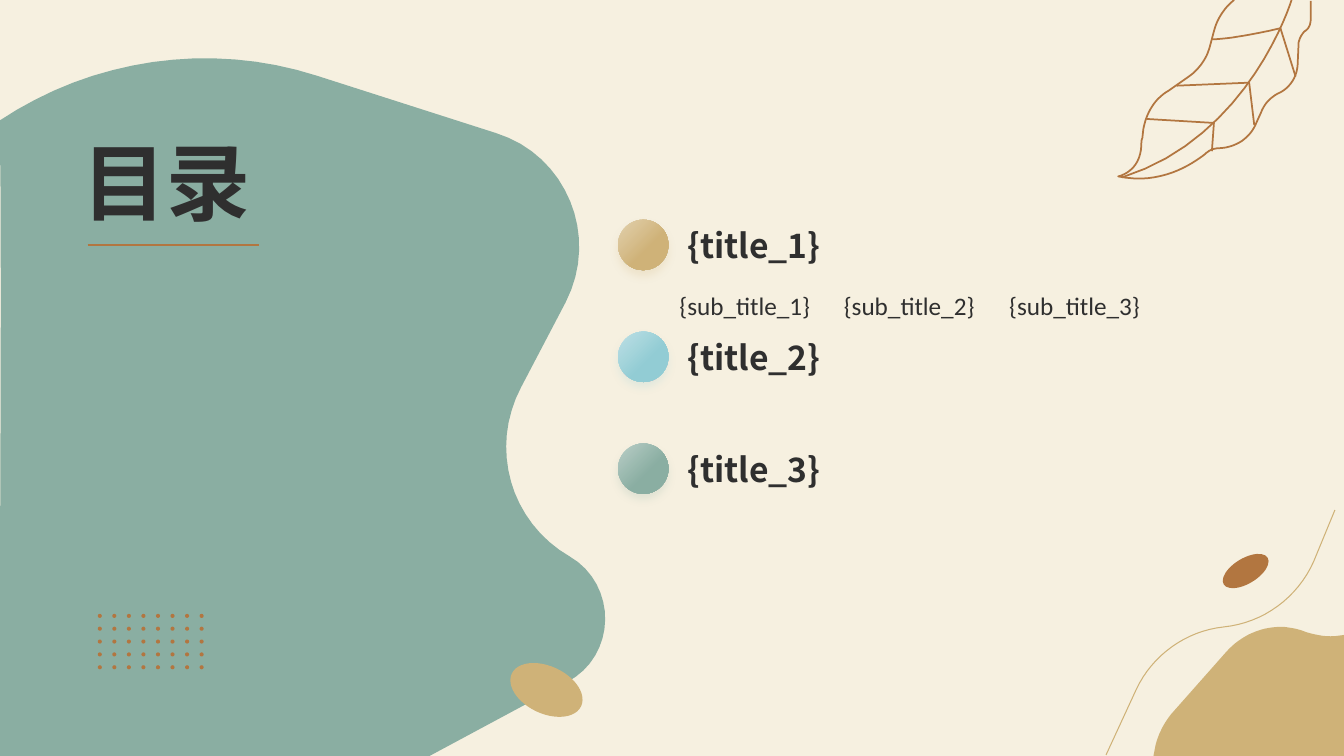
import pptx
import pptx.dml.color
import pptx.enum.shapes
import pptx.enum.text
import pptx.oxml
import pptx.oxml.ns
import pptx.util
from lxml import etree

Inches = pptx.util.Inches
RGBColor = pptx.dml.color.RGBColor
OVAL = pptx.enum.shapes.MSO_SHAPE.OVAL
ANCHOR = pptx.enum.text.MSO_ANCHOR

CREAM = RGBColor(0xF6, 0xF0, 0xE0)
SAGE = RGBColor(0x8A, 0xAE, 0xA2)
PALE_SAGE = RGBColor(0xB9, 0xCE, 0xC7)
SAND = RGBColor(0xCF, 0xB2, 0x78)
PALE_SAND = RGBColor(0xE2, 0xD1, 0xAE)
AQUA = RGBColor(0x92, 0xCC, 0xD4)
PALE_AQUA = RGBColor(0xBE, 0xE0, 0xE5)
RUST = RGBColor(0xB2, 0x76, 0x40)
INK = RGBColor(0x2F, 0x2F, 0x2F)

HEADING_FONT = "Noto Sans CJK SC"
BODY_FONT = "Calibri"
UNITS_PER_INCH = 1000
CURVE_STEPS = 16


def trace(start, segments):
    points = [start]
    for segment in segments:
        if len(segment) == 2:
            points.append(segment)
            continue
        x0, y0 = points[-1]
        x1, y1, x2, y2, x3, y3 = segment
        for step in range(1, CURVE_STEPS + 1):
            t = step / CURVE_STEPS
            a, b, c, d = (1 - t) ** 3, 3 * t * (1 - t) ** 2, 3 * t * t * (1 - t), t ** 3
            points.append((a * x0 + b * x1 + c * x2 + d * x3,
                           a * y0 + b * y1 + c * y2 + d * y3))
    return points


def add_curve(slide, left, top, start, segments, fill=None, line=None, width=1.25):
    points = [(x * UNITS_PER_INCH, y * UNITS_PER_INCH) for x, y in trace(start, segments)]
    builder = slide.shapes.build_freeform(*points[0], scale=Inches(1) / UNITS_PER_INCH)
    builder.add_line_segments(points[1:], close=fill is not None)
    shape = builder.convert_to_shape(Inches(left), Inches(top))
    paint(shape, fill, line, width)


def paint(shape, fill, line=None, width=1.25):
    shape.shadow.inherit = False
    if fill is None:
        shape.fill.background()
    else:
        shape.fill.solid()
        shape.fill.fore_color.rgb = fill
    if line is None:
        shape.line.fill.background()
    else:
        shape.line.color.rgb = line
        shape.line.width = pptx.util.Pt(width)


def add_oval(slide, left, top, width, height, fill, rotation=0):
    oval = slide.shapes.add_shape(OVAL, Inches(left), Inches(top), Inches(width), Inches(height))
    paint(oval, fill)
    oval.rotation = rotation
    return oval


def set_text(shape, text, font_name, size, bold, anchor=ANCHOR.TOP, tabs=()):
    frame = shape.text_frame
    frame.word_wrap = True
    frame.auto_size = pptx.enum.text.MSO_AUTO_SIZE.SHAPE_TO_FIT_TEXT
    frame.vertical_anchor = anchor
    frame.text = text
    paragraph = frame.paragraphs[0]
    paragraph.alignment = pptx.enum.text.PP_ALIGN.LEFT
    if tabs:
        tab_list = etree.SubElement(paragraph._p.get_or_add_pPr(), pptx.oxml.ns.qn("a:tabLst"))
        for position in tabs:
            etree.SubElement(tab_list, pptx.oxml.ns.qn("a:tab"),
                             pos=str(Inches(position)), algn="l")
    paragraph.font.name = font_name
    paragraph.font.size = pptx.util.Pt(size)
    paragraph.font.bold = bold
    paragraph.font.color.rgb = INK
    for run in paragraph.runs:
        properties = run._r.get_or_add_rPr()
        etree.SubElement(properties, pptx.oxml.ns.qn("a:ea"), typeface=font_name)


def add_panel(slide, left, top):
    add_curve(slide, left, top, (-0.01, 1.2), [
        (0.92, 0.58, 2.08, 0.41, 3.14, 0.75), (4.92, 1.32),
        (5.62, 1.54, 5.95, 2.34, 5.61, 3), (5.17, 3.84),
        (4.85, 4.44, 5.06, 5.18, 5.65, 5.52),
        (6.13, 5.8, 6.12, 6.51, 5.62, 6.77), (4.26, 7.5), (-0.01, 7.5),
        (-0.01, 7.5, 0.03, 1.25, -0.01, 1.2)], fill=SAGE)


def add_heading(slide, left, top):
    title = slide.shapes.title
    title.left, title.top = Inches(left), Inches(top)
    title.width, title.height = Inches(3.96), Inches(1.11)
    set_text(title, "目录", HEADING_FONT, 60, True)
    underline = slide.shapes.add_connector(
        pptx.enum.shapes.MSO_CONNECTOR.STRAIGHT,
        Inches(left + 0.15), Inches(top + 1.19), Inches(left + 1.85), Inches(top + 1.19))
    underline.line.color.rgb = RUST
    underline.line.width = pptx.util.Pt(2)
    etree.SubElement(underline._element.spPr, pptx.oxml.ns.qn("a:effectLst"))


def add_dots(slide, left, top):
    for column in range(8):
        for row in range(5):
            add_oval(slide, left + column * 1.01 / 7, top + row * 0.51 / 4, 0.04, 0.04, RUST)


def add_marker(slide, left, top, color, pale_color):
    marker = add_oval(slide, left, top, 0.5, 0.5, color)
    marker.fill.gradient()
    marker.fill.gradient_angle = 315
    for stop, position, stop_color in zip(marker.fill.gradient_stops, (0, 0.6), (pale_color, color)):
        stop.position = position
        stop.color.rgb = stop_color
    effects = marker._element.spPr.find(pptx.oxml.ns.qn("a:effectLst"))
    effects.append(pptx.oxml.parse_xml(
        f'<a:outerShdw {pptx.oxml.ns.nsdecls("a")} blurRad="76200" dist="50800" dir="5400000" '
        f'algn="t" rotWithShape="0"><a:srgbClr val="{color}"><a:alpha val="20000"/>'
        '</a:srgbClr></a:outerShdw>'))


def add_contents(slide, left, top):
    entries = [("{title_1}", SAND, PALE_SAND), ("{title_2}", AQUA, PALE_AQUA),
               ("{title_3}", SAGE, PALE_SAGE)]
    for index, (text, color, pale_color) in enumerate(entries):
        entry_top = top + index * 1.11
        add_marker(slide, left, entry_top, color, pale_color)
        label = slide.shapes.add_textbox(
            Inches(left + 0.59), Inches(entry_top), Inches(5.87), Inches(0.5))
        set_text(label, text, HEADING_FONT, 24, True, ANCHOR.MIDDLE)
    subtitles = slide.shapes.add_textbox(
        Inches(left + 0.51), Inches(top + 0.65), Inches(6.42), Inches(0.4))
    set_text(subtitles, "{sub_title_1}\t{sub_title_2}\t{sub_title_3}", BODY_FONT, 18, False,
             tabs=(1.63, 3.27))


def add_corner(slide, left, top):
    add_curve(slide, left, top, (2.74, 1.22), [
        (2.81, 1.23, 2.88, 1.24, 2.95, 1.27), (3.05, 1.3, 3.15, 1.32, 3.25, 1.31),
        (3.33, 1.3), (3.33, 2.5), (1.44, 2.5), (1.45, 2.45),
        (1.47, 2.32, 1.53, 2.19, 1.62, 2.08), (2.16, 1.47),
        (2.31, 1.3, 2.52, 1.21, 2.74, 1.22)], fill=SAND)
    add_curve(slide, left, top, (0.97, 2.49), [
        (1.27, 1.84), (1.43, 1.5, 1.76, 1.26, 2.14, 1.22),
        (2.53, 1.18, 2.87, 0.93, 3.03, 0.57), (3.24, 0.06)], line=SAND, width=0.75)
    add_oval(slide, left + 2.1, top + 0.54, 0.51, 0.25, RUST, 328.7)


def add_leaf(slide, left, top):
    outline = [
        (2, 0.19), (2, 0.24, 1.98, 0.29, 1.94, 0.31), (1.91, 0.34, 1.89, 0.38, 1.88, 0.42),
        (1.87, 0.65), (1.86, 0.77, 1.79, 0.88, 1.67, 0.93),
        (1.6, 0.97, 1.54, 1.03, 1.51, 1.11), (1.46, 1.22),
        (1.4, 1.37, 1.26, 1.46, 1.1, 1.47), (1.04, 1.47, 0.99, 1.49, 0.95, 1.53),
        (0.82, 1.63, 0.51, 1.84, 0.09, 1.75), (0.09, 1.75, 0.31, 1.71, 0.32, 1.44),
        (0.32, 1.42, 0.32, 1.39, 0.33, 1.37), (0.34, 1.28),
        (0.37, 1.12, 0.45, 0.98, 0.59, 0.9), (0.79, 0.76),
        (0.89, 0.69, 0.97, 0.58, 1, 0.46), (1.04, 0.31),
        (1.07, 0.19, 1.14, 0.08, 1.24, 0)]
    strokes = [
        ((2, 0.01), outline),
        ((1.81, 0), [(1.81, 0, 1.4, 1.36, 0.13, 1.76)]),
        ((1.85, 0.76), [(1.7, 0.28), (1.7, 0.28, 1.24, 0.39, 1.02, 0.39)]),
        ((1.44, 1.24), [(1.39, 0.82), (0.67, 0.85)]),
        ((1.02, 1.5), [(1.04, 1.22), (0.37, 1.18)])]
    for start, segments in strokes:
        add_curve(slide, left, top, start, segments, line=RUST)


def main():
    presentation = pptx.Presentation()
    presentation.slide_width, presentation.slide_height = Inches(13.33), Inches(7.5)
    slide = presentation.slides.add_slide(presentation.slide_layouts[5])
    slide.background.fill.solid()
    slide.background.fill.fore_color.rgb = CREAM
    add_panel(slide, 0, 0)
    title_element = slide.shapes.title._element
    title_element.getparent().append(title_element)
    add_contents(slide, 6.13, 2.18)
    add_heading(slide, 0.72, 1.24)
    add_dots(slide, 0.97, 6.09)
    add_corner(slide, 10, 5)
    add_oval(slide, 5.04, 6.61, 0.76, 0.47, SAND, 25.2)
    add_leaf(slide, 11, 0)
    presentation.save("out.pptx")


if __name__ == "__main__":
    main()
